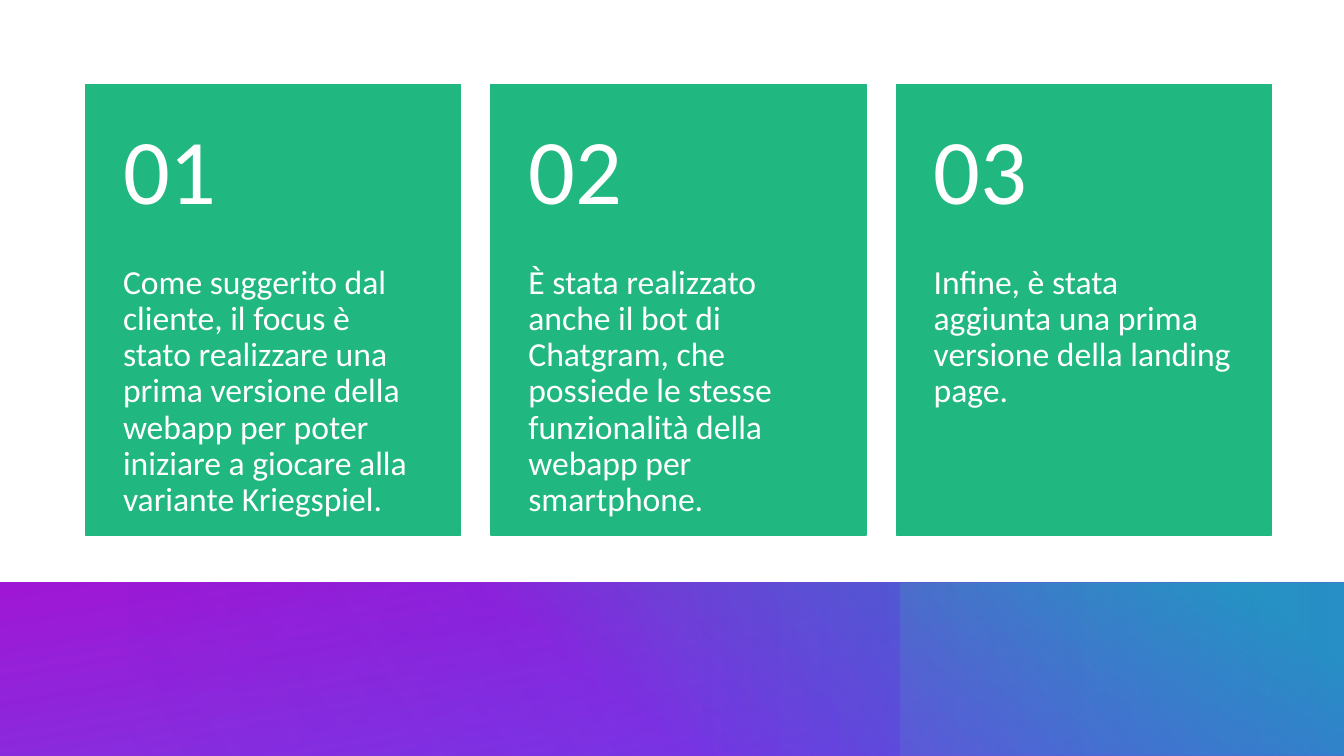
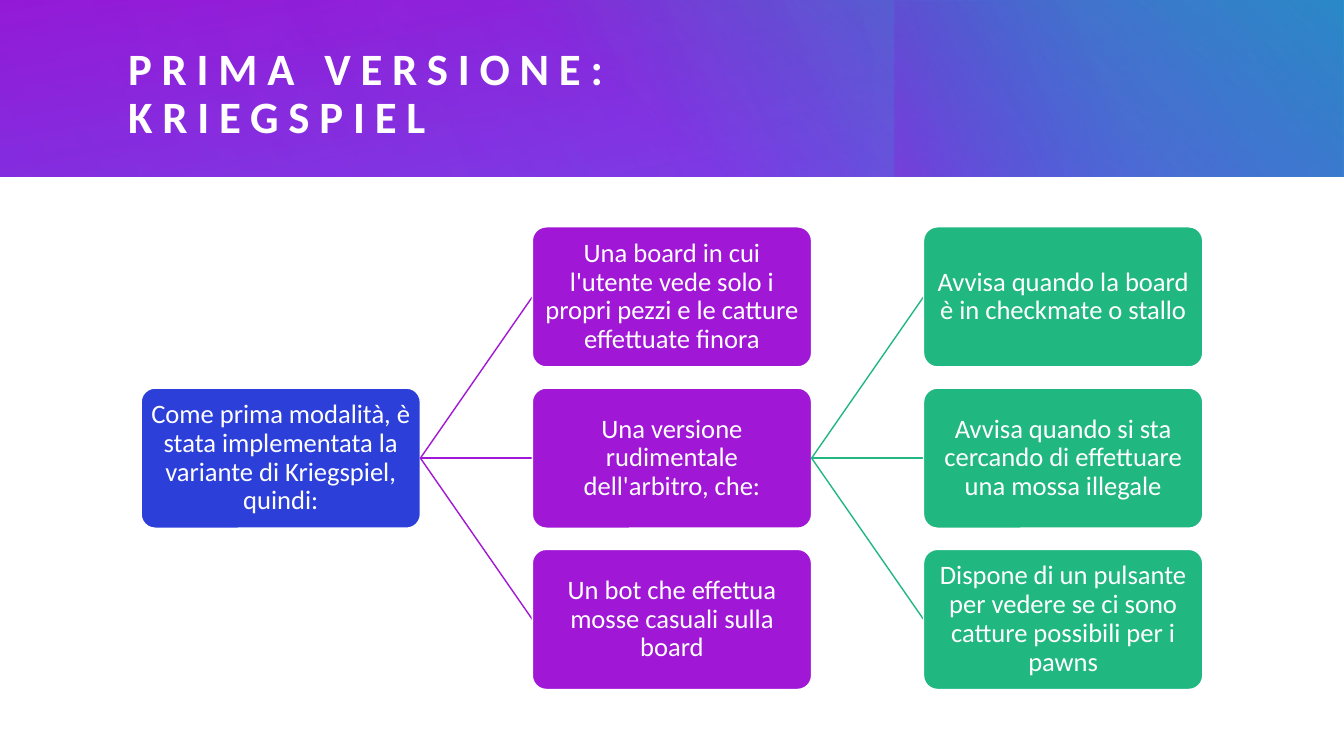
"""Build two slides about the first version of a Kriegspiel web app."""
from dataclasses import dataclass

from lxml import etree
from pptx import Presentation
from pptx.dml.color import RGBColor
from pptx.enum.shapes import MSO_CONNECTOR, MSO_SHAPE
from pptx.enum.text import MSO_ANCHOR, PP_ALIGN
from pptx.oxml.ns import qn
from pptx.util import Inches, Pt

RECTANGLE = MSO_SHAPE.RECTANGLE
ROUNDED = MSO_SHAPE.ROUNDED_RECTANGLE
STRAIGHT = MSO_CONNECTOR.STRAIGHT
TOP, MIDDLE = MSO_ANCHOR.TOP, MSO_ANCHOR.MIDDLE
LEFT, CENTER = PP_ALIGN.LEFT, PP_ALIGN.CENTER

FONT = "Calibri"
WHITE, GREEN, BLUE = "FFFFFF", "21B780", "2C40D9"
PURPLE, VIOLET, TEAL = "A017D5", "6229E7", "14B2BA"
PAGE_WIDTH, PAGE_HEIGHT = 13.33, 7.5

CARD_LEFT, CARD_TOP, CARD_PITCH = 0.85, 0.84, 4.02
CARD_WIDTH, CARD_HEIGHT, NUMBER_HEIGHT = 3.72, 4.47, 1.79

NODE_LEFT, NODE_TOP = 1.4, 2.25
NODE_WIDTH, NODE_HEIGHT = 2.77, 1.39
COLUMN_PITCH, ROW_PITCH = 3.88, 1.6


@dataclass(frozen=True)
class Area:
    left: float
    top: float
    width: float
    height: float

    def lengths(self) -> tuple:
        return tuple(Inches(n) for n in (self.left, self.top, self.width, self.height))


@dataclass(frozen=True)
class Stop:
    position: int
    color: str
    opacity: int = 100


@dataclass(frozen=True)
class Layer:
    area: Area
    start: Stop
    end: Stop
    angle: int
    rotation: int = 0


@dataclass(frozen=True)
class TextStyle:
    size: int
    anchor: MSO_ANCHOR = MIDDLE
    align: PP_ALIGN = LEFT
    insets: tuple = (0, 0, 0, 0)
    bold: bool = False
    spacing: int = 0


@dataclass(frozen=True)
class Node:
    column: int
    row: int
    text: str

    @property
    def area(self) -> Area:
        return Area(NODE_LEFT + self.column * COLUMN_PITCH,
                    NODE_TOP + self.row * ROW_PITCH, NODE_WIDTH, NODE_HEIGHT)


NUMBER_STYLE = TextStyle(66, insets=(0.37, 0.18, 0.37, 0.18))
CARD_STYLE = TextStyle(24, anchor=TOP, insets=(0.37, 0, 0.37, 0.36))
NODE_STYLE = TextStyle(19, align=CENTER, insets=(0.05, 0.05, 0.05, 0.05))
TITLE_STYLE = TextStyle(32, bold=True, spacing=7)

BOTTOM_BAND = (
    Layer(Area(0, 5.78, PAGE_WIDTH, 1.72), Stop(0, VIOLET, 88), Stop(100, PURPLE), 260),
    Layer(Area(4.42, 5.78, 8.91, 1.72), Stop(22, TEAL, 0), Stop(91, TEAL), 310),
    Layer(Area(1.25, 5.78, 7.67, 1.72), Stop(0, VIOLET, 30), Stop(99, VIOLET, 0), 330, 180),
    Layer(Area(4.42, 5.78, 8.91, 1.72), Stop(0, VIOLET, 26), Stop(72, VIOLET, 0), 0, 180),
)
TITLE_BAND = (
    Layer(Area(0, 0, PAGE_WIDTH, 1.75), Stop(0, VIOLET, 83), Stop(100, PURPLE), 260),
    Layer(Area(4.81, 0, 8.52, 1.75), Stop(22, TEAL, 0), Stop(99, TEAL), 310),
    Layer(Area(9.87, -0.99, 1.75, 3.74), Stop(45, BLUE, 0), Stop(99, PURPLE, 33), 250, 270),
    Layer(Area(2.68, 0, 10.64, 1.75), Stop(0, VIOLET, 30), Stop(99, VIOLET, 0), 330, 180),
    Layer(Area(0, 0, 8.65, 1.75), Stop(0, VIOLET, 21), Stop(99, VIOLET, 0), 340),
)
CARDS = (
    "Come suggerito dal cliente, il focus è stato realizzare una prima versione "
    "della webapp per poter iniziare a giocare alla variante Kriegspiel.",
    "È stata realizzato anche il bot di Chatgram, che possiede le stesse "
    "funzionalità della webapp per smartphone.",
    "Infine, è stata aggiunta una prima versione della landing page.",
)
ROOT = Node(0, 1, "Come prima modalità, è stata implementata la variante di Kriegspiel, quindi:")
FEATURES = (
    Node(1, 0, "Una board in cui l'utente vede solo i propri pezzi e le catture effettuate finora"),
    Node(1, 1, "Una versione rudimentale dell'arbitro, che:"),
    Node(1, 2, "Un bot che effettua mosse casuali sulla board"),
)
REFEREE_DUTIES = (
    Node(2, 0, "Avvisa quando la board è in checkmate o stallo"),
    Node(2, 1, "Avvisa quando si sta cercando di effettuare una mossa illegale"),
    Node(2, 2, "Dispone di un pulsante per vedere se ci sono catture possibili per i pawns"),
)


def rgb(color: str) -> RGBColor:
    return RGBColor.from_string(color)


def write_text(shape, text: str, style: TextStyle) -> None:
    frame = shape.text_frame
    frame.word_wrap = True
    frame.vertical_anchor = style.anchor
    (frame.margin_left, frame.margin_top,
     frame.margin_right, frame.margin_bottom) = (Inches(n) for n in style.insets)
    para = frame.paragraphs[0]
    para.alignment = style.align
    para.line_spacing = 0.9
    for index, line in enumerate(text.split("\n")):
        if index:
            para.add_line_break()
        span = para.add_run()
        span.text = line
        span.font.name = FONT
        span.font.size = Pt(style.size)
        span.font.bold = style.bold
        span.font.color.rgb = rgb(WHITE)
        if style.spacing:
            span.font._element.set("spc", str(style.spacing * 100))


def add_text(page, area: Area, text: str, style: TextStyle) -> None:
    write_text(page.shapes.add_textbox(*area.lengths()), text, style)


def add_box(page, area: Area, color: str, line: str, kind: MSO_SHAPE = RECTANGLE):
    box = page.shapes.add_shape(kind, *area.lengths())
    box.shadow.inherit = False
    box.fill.solid()
    box.fill.fore_color.rgb = rgb(color)
    box.line.color.rgb = rgb(line)
    box.line.width = Pt(1)
    return box


def add_layer(page, layer: Layer) -> None:
    box = page.shapes.add_shape(RECTANGLE, *layer.area.lengths())
    box.shadow.inherit = False
    box.rotation = layer.rotation
    box.line.fill.background()
    box.fill.gradient()
    box.fill.gradient_angle = (360 - layer.angle) % 360
    stops = (layer.start, layer.end)
    for gradient_stop, stop in zip(box.fill.gradient_stops, stops):
        gradient_stop.position = stop.position / 100
        gradient_stop.color.rgb = rgb(stop.color)
    for color, stop in zip(box._element.spPr.iter(qn("a:srgbClr")), stops):
        etree.SubElement(color, qn("a:alpha")).set("val", str(stop.opacity * 1000))


def add_band(page, layers: tuple[Layer, ...]) -> None:
    for layer in layers:
        add_layer(page, layer)


def add_card(page, index: int, text: str) -> None:
    left = CARD_LEFT + index * CARD_PITCH
    add_box(page, Area(left, CARD_TOP, CARD_WIDTH, CARD_HEIGHT), GREEN, GREEN)
    add_text(page, Area(left, CARD_TOP + NUMBER_HEIGHT, CARD_WIDTH, CARD_HEIGHT - NUMBER_HEIGHT),
             text, CARD_STYLE)
    add_text(page, Area(left, CARD_TOP, CARD_WIDTH, NUMBER_HEIGHT),
             f"{index + 1:02}", NUMBER_STYLE)


def add_link(page, parent: Area, child: Area, color: str) -> None:
    link = page.shapes.add_connector(
        STRAIGHT,
        Inches(parent.left + parent.width), Inches(parent.top + parent.height / 2),
        Inches(child.left), Inches(child.top + child.height / 2))
    link.line.color.rgb = rgb(color)
    link.line.width = Pt(1)
    etree.SubElement(link._element.spPr, qn("a:effectLst"))


def add_node(page, node: Node, color: str) -> None:
    box = add_box(page, node.area, color, WHITE, ROUNDED)
    box.adjustments[0] = 0.1
    write_text(box, node.text, NODE_STYLE)


def add_branch(page, parent: Node, children: tuple[Node, ...], color: str) -> None:
    for child in children:
        add_link(page, parent.area, child.area, color)
        add_node(page, child, color)


def build_cards_page(page) -> None:
    add_band(page, BOTTOM_BAND)
    for index, text in enumerate(CARDS):
        add_card(page, index, text)


def build_tree_page(page) -> None:
    add_band(page, TITLE_BAND)
    add_text(page, Area(1.27, 0.41, 11.35, 1.06), "PRIMA VERSIONE:\nKRIEGSPIEL", TITLE_STYLE)
    add_node(page, ROOT, BLUE)
    add_branch(page, ROOT, FEATURES, PURPLE)
    add_branch(page, FEATURES[1], REFEREE_DUTIES, GREEN)


def main() -> None:
    deck = Presentation()
    deck.slide_width, deck.slide_height = Inches(PAGE_WIDTH), Inches(PAGE_HEIGHT)
    for build in (build_cards_page, build_tree_page):
        build(deck.slides.add_slide(deck.slide_layouts[6]))
    deck.save("out.pptx")


if __name__ == "__main__":
    main()
